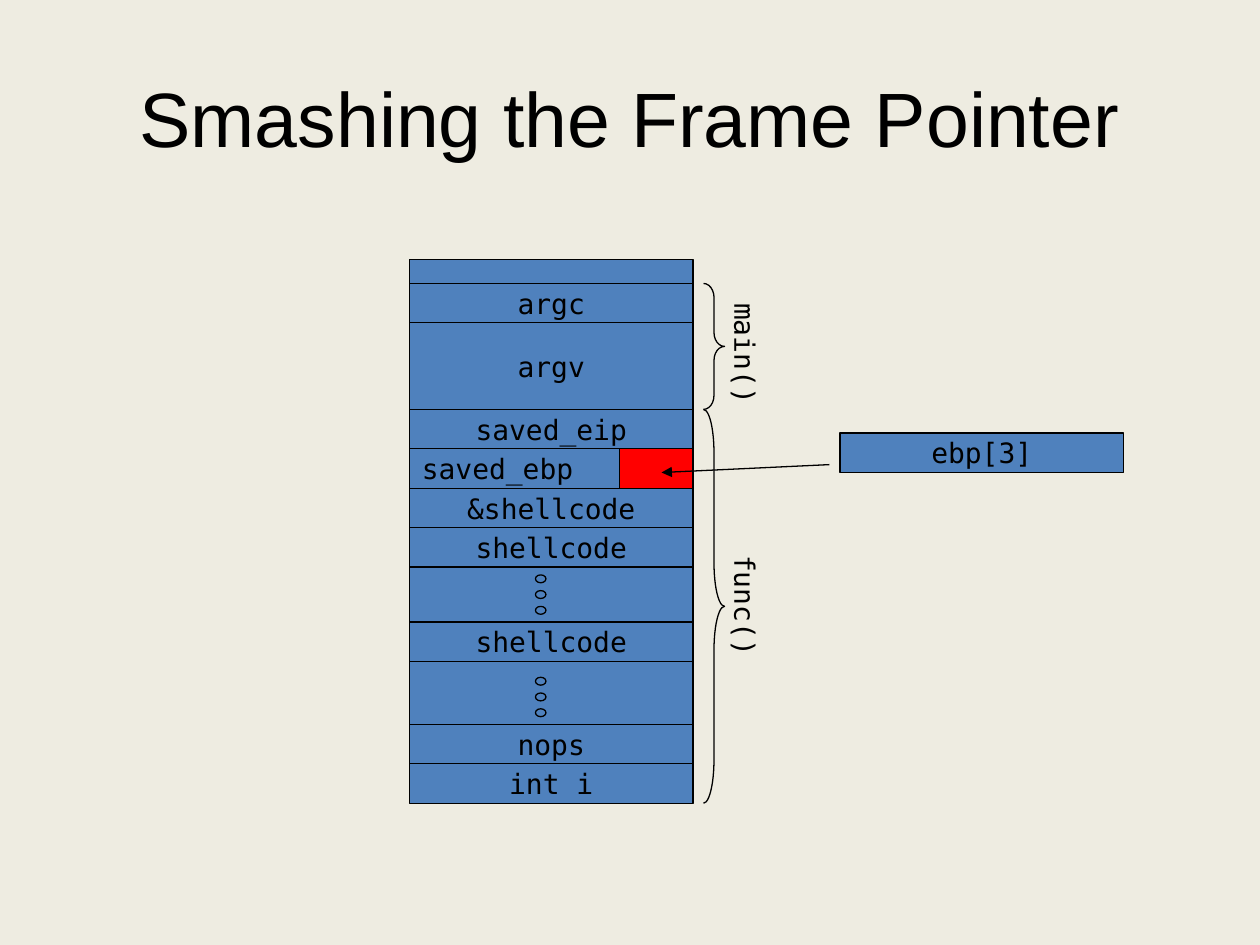
"""Build the slide showing a stack whose saved frame pointer is overwritten."""
from dataclasses import dataclass

from lxml.etree import SubElement
from pptx import Presentation
from pptx.dml.color import RGBColor
from pptx.enum.shapes import MSO_CONNECTOR, MSO_SHAPE
from pptx.enum.text import MSO_ANCHOR, PP_ALIGN
from pptx.oxml.ns import qn
from pptx.util import Pt


@dataclass(frozen=True)
class Theme:
    paper: RGBColor = RGBColor(0xEE, 0xEC, 0xE1)
    cell: RGBColor = RGBColor(0x4F, 0x81, 0xBD)
    smashed: RGBColor = RGBColor(0xFF, 0x00, 0x00)
    ink: RGBColor = RGBColor(0x00, 0x00, 0x00)
    title_font: str = "Arial"
    code_font: str = "DejaVu Sans Mono"
    title_size: int = 44
    code_size: int = 16
    line_width: float = 0.75


THEME = Theme()


def add_outlined(shapes, preset, left, top, width, height, fill=None):
    shape = shapes.add_shape(preset, Pt(left), Pt(top), Pt(width), Pt(height))
    shape.shadow.inherit = False
    if fill is None:
        shape.fill.background()
    else:
        shape.fill.solid()
        shape.fill.fore_color.rgb = fill
    shape.line.color.rgb = THEME.ink
    shape.line.width = Pt(THEME.line_width)
    return shape


def write(shape, text, align, wrap=False, anchor=MSO_ANCHOR.MIDDLE,
          font=THEME.code_font, size=THEME.code_size):
    frame = shape.text_frame
    frame.word_wrap = wrap
    frame.vertical_anchor = anchor
    paragraph = frame.paragraphs[0]
    paragraph.alignment = align
    run = paragraph.add_run()
    run.text = text
    run.font.name = font
    run.font.size = Pt(size)
    run.font.color.rgb = THEME.ink


deck = Presentation()
deck.slide_width, deck.slide_height = Pt(720), Pt(540)
slide = deck.slides.add_slide(deck.slide_layouts[6])
slide.background.fill.solid()
slide.background.fill.fore_color.rgb = THEME.paper
shapes = slide.shapes

title = shapes.add_textbox(Pt(36), Pt(21.6), Pt(648), Pt(90))
write(title, "Smashing the Frame Pointer", PP_ALIGN.CENTER, wrap=True,
      font=THEME.title_font, size=THEME.title_size)

STACK_LEFT, STACK_TOP, STACK_WIDTH, STACK_HEIGHT = 234, 148.5, 162, 288
ROW = 22.5
add_outlined(shapes, MSO_SHAPE.RECTANGLE, STACK_LEFT, STACK_TOP,
             STACK_WIDTH, STACK_HEIGHT, THEME.cell)

stack_rows = [
    ("argc", 162, ROW), ("argv", 184.5, 49.5), ("saved_eip", 234, ROW),
    ("saved_ebp", 256.5, ROW), ("&shellcode", 279, ROW), ("shellcode", 301.5, ROW),
    ("shellcode", 355.5, ROW), ("nops", 414, ROW), ("int i", 436.5, ROW),
]
for label, top, height in stack_rows:
    row = add_outlined(shapes, MSO_SHAPE.RECTANGLE, STACK_LEFT, top,
                       STACK_WIDTH, height, THEME.cell)
    write(row, label, PP_ALIGN.LEFT if label == "saved_ebp" else PP_ALIGN.CENTER)

for first_dot in (328.5, 387):
    ellipsis = shapes.add_group_shape()
    for step in range(3):
        add_outlined(ellipsis.shapes, MSO_SHAPE.OVAL, 306, first_dot + 9 * step,
                     6, 4.5, THEME.cell)

for label, top, height, curve, label_top in [
    ("main()", 162, 72, 0.67, 193.5),
    ("func()", 234, 225, 2.08, 337.5),
]:
    brace = add_outlined(shapes, MSO_SHAPE.RIGHT_BRACE, 402, top, 12, height)
    brace.adjustments[0] = curve
    frame_name = shapes.add_textbox(Pt(385.2), Pt(label_top), Pt(81.4), Pt(26.6))
    frame_name.rotation = 90
    write(frame_name, label, PP_ALIGN.LEFT, wrap=True, anchor=MSO_ANCHOR.TOP)

add_outlined(shapes, MSO_SHAPE.RECTANGLE, 354, 256.5, 42, ROW, THEME.smashed)

overwrite = shapes.add_connector(MSO_CONNECTOR.STRAIGHT,
                                 Pt(474), Pt(265.5), Pt(378), Pt(270))
overwrite.line.color.rgb = THEME.ink
overwrite.line.width = Pt(THEME.line_width)
SubElement(overwrite.line._get_or_add_ln(), qn("a:tailEnd"), type="triangle")
SubElement(overwrite._element.spPr, qn("a:effectLst"))

ebp_byte = add_outlined(shapes, MSO_SHAPE.RECTANGLE, 480, 247.5,
                        STACK_WIDTH, ROW, THEME.cell)
write(ebp_byte, "ebp[3]", PP_ALIGN.CENTER)

deck.save("out.pptx")
